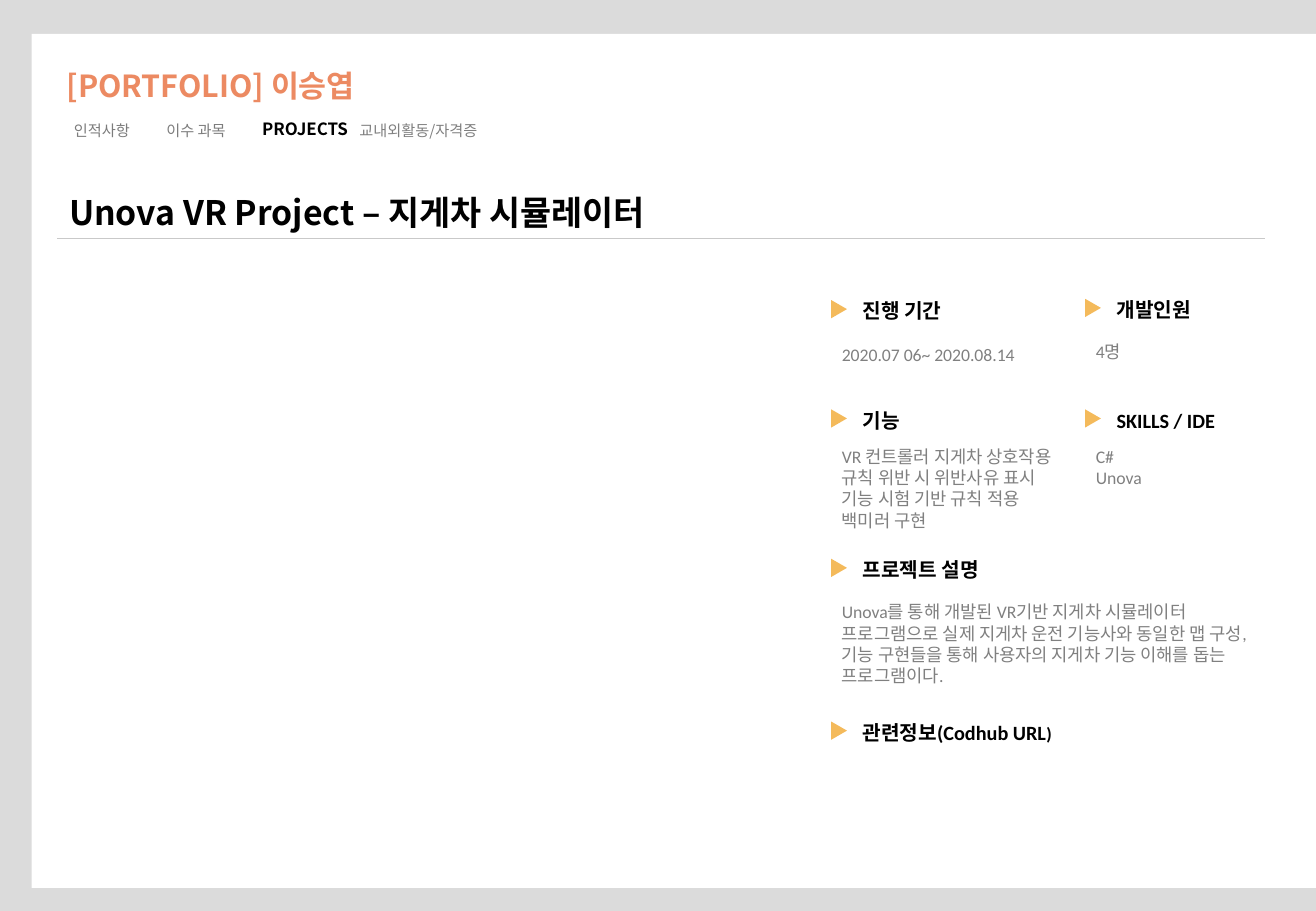
from lxml import etree
from pptx import Presentation
from pptx.dml.color import RGBColor
from pptx.enum.shapes import MSO_CONNECTOR, MSO_SHAPE
from pptx.enum.text import MSO_AUTO_SIZE
from pptx.oxml.ns import qn
from pptx.util import Inches, Pt

RECTANGLE = MSO_SHAPE.RECTANGLE
TRIANGLE = MSO_SHAPE.ISOSCELES_TRIANGLE
STRAIGHT = MSO_CONNECTOR.STRAIGHT
FIT_SHAPE = MSO_AUTO_SIZE.SHAPE_TO_FIT_TEXT

COLORS = {
    "background": "DBDBDB", "panel": "FFFFFF", "rule": "C9C9C9",
    "brand": "EC8A62", "marker": "F4BA5B", "heading": "000000",
    "body": "808080", "menu": "7C7C7C",
}
KOREAN, LATIN = "Noto Sans CJK KR", "Calibri"
WIDTH, HEIGHT = 10.83, 7.5
LEFT_COLUMN, RIGHT_COLUMN = 6.83, 8.92

presentation = Presentation()
presentation.slide_width, presentation.slide_height = Inches(WIDTH), Inches(HEIGHT)
slide = presentation.slides.add_slide(presentation.slide_layouts[6])
slide.background.fill.solid()
slide.background.fill.fore_color.rgb = RGBColor.from_string(COLORS["background"])


def add_text(text, left, top, width, height, size, font_name, color, bold=False):
    box = slide.shapes.add_textbox(Inches(left), Inches(top), Inches(width), Inches(height))
    frame = box.text_frame
    frame.word_wrap = True
    frame.auto_size = FIT_SHAPE
    frame.text = text
    for paragraph in frame.paragraphs:
        font = paragraph.font
        font.size, font.bold, font.name = Pt(size), bold, font_name
        font.color.rgb = RGBColor.from_string(COLORS[color])
    return frame


def add_filled(kind, left, top, width, height, color):
    shape = slide.shapes.add_shape(kind, Inches(left), Inches(top), Inches(width), Inches(height))
    shape.shadow.inherit = False
    shape.fill.solid()
    shape.fill.fore_color.rgb = RGBColor.from_string(COLORS[color])
    shape.line.fill.background()
    return shape


# White page panel
add_filled(RECTANGLE, 0.26, 0.28, WIDTH - 0.26, 7.03, "panel")

# Portfolio name and menu
add_text("[PORTFOLIO] 이승엽", 0.45, 0.5, 3.03, 0.4, 18, KOREAN, "brand", True)
menu = [
    ("인적사항", 0.51, 0.95, 1.4, 9, "menu", False),
    ("이수 과목", 1.27, 0.95, 0.91, 9, "menu", False),
    ("PROJECTS", 2.06, 0.93, 1.4, 10, "heading", True),
    ("교내외활동/자격증", 2.86, 0.95, 1.31, 9, "body", False),
]
for label, left, top, width, size, color, bold in menu:
    add_text(label, left, top, width, 0.25, size, KOREAN, color, bold)

# Project title with rule
add_text("Unova VR Project – 지게차 시뮬레이터", 0.47, 1.53, 8.63, 0.44, 20, KOREAN, "heading", True)
rule = slide.shapes.add_connector(STRAIGHT, Inches(0.47), Inches(1.96), Inches(10.41), Inches(1.96))
rule.line.color.rgb = RGBColor.from_string(COLORS["rule"])
rule.line.width = Pt(0.5)
etree.SubElement(rule._element.spPr, qn("a:effectLst"))

# Project facts: heading, column, heading top, body, body top, body width, body height
facts = [
    ("진행 기간", LEFT_COLUMN, 2.41, "2020.07 06~ 2020.08.14", 2.78, 1.8, 0.28),
    ("개발인원", RIGHT_COLUMN, 2.4, "4명", 2.76, 0.43, 0.45),
    ("기능", LEFT_COLUMN, 3.31,
     "VR 컨트롤러 지게차 상호작용\n규칙 위반 시 위반사유 표시\n기능 시험 기반 규칙 적용\n백미러 구현",
     3.62, 2.16, 0.81),
    ("SKILLS / IDE", RIGHT_COLUMN, 3.31, "C#\nUnova", 3.62, 0.75, 0.45),
    ("프로젝트 설명", LEFT_COLUMN, 4.54,
     "Unova를 통해 개발된 VR기반 지게차 시뮬레이터 프로그램으로 실제 지게차 운전 기능사와 "
     "동일한 맵 구성, 기능 구현들을 통해 사용자의 지게차 기능 이해를 돕는 프로그램이다.",
     4.9, 3.57, 0.81),
    ("관련정보(Codhub URL", LEFT_COLUMN, 5.88, None, 0, 0, 0),
]
for heading, column, top, body, body_top, body_width, body_height in facts:
    marker = add_filled(TRIANGLE, column, top + 0.07, 0.15, 0.13, "marker")
    marker.rotation = 90
    heading_frame = add_text(heading, column + 0.17, top, 1.92, 0.3, 12, LATIN, "heading", True)
    if body:
        add_text(body, column, body_top, body_width, body_height, 10.5, LATIN, "body")

# Smaller closing bracket of the last heading
bracket = heading_frame.paragraphs[0].add_run()
bracket.text = ")"
bracket.font.size = Pt(10.5)

presentation.save("out.pptx")
